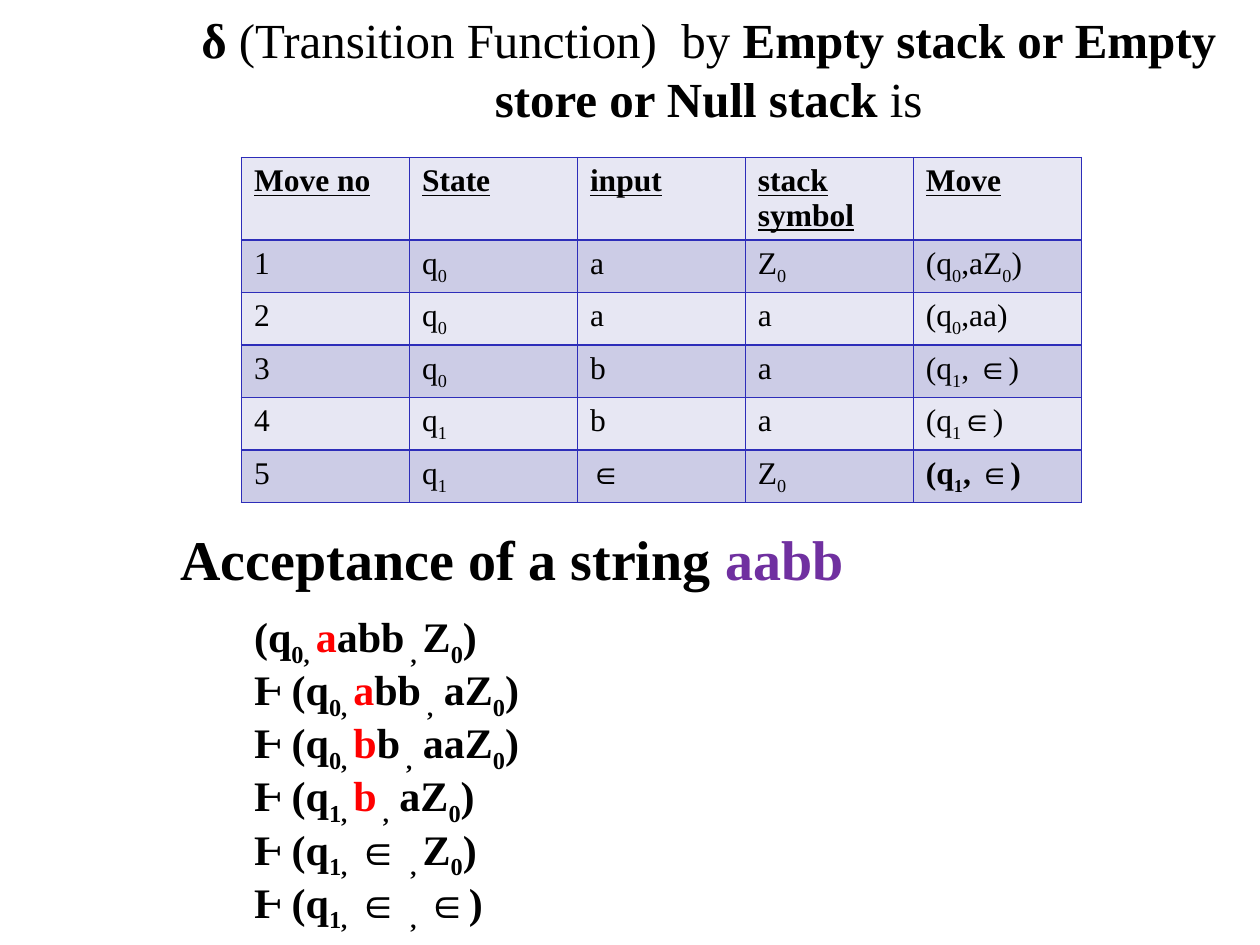
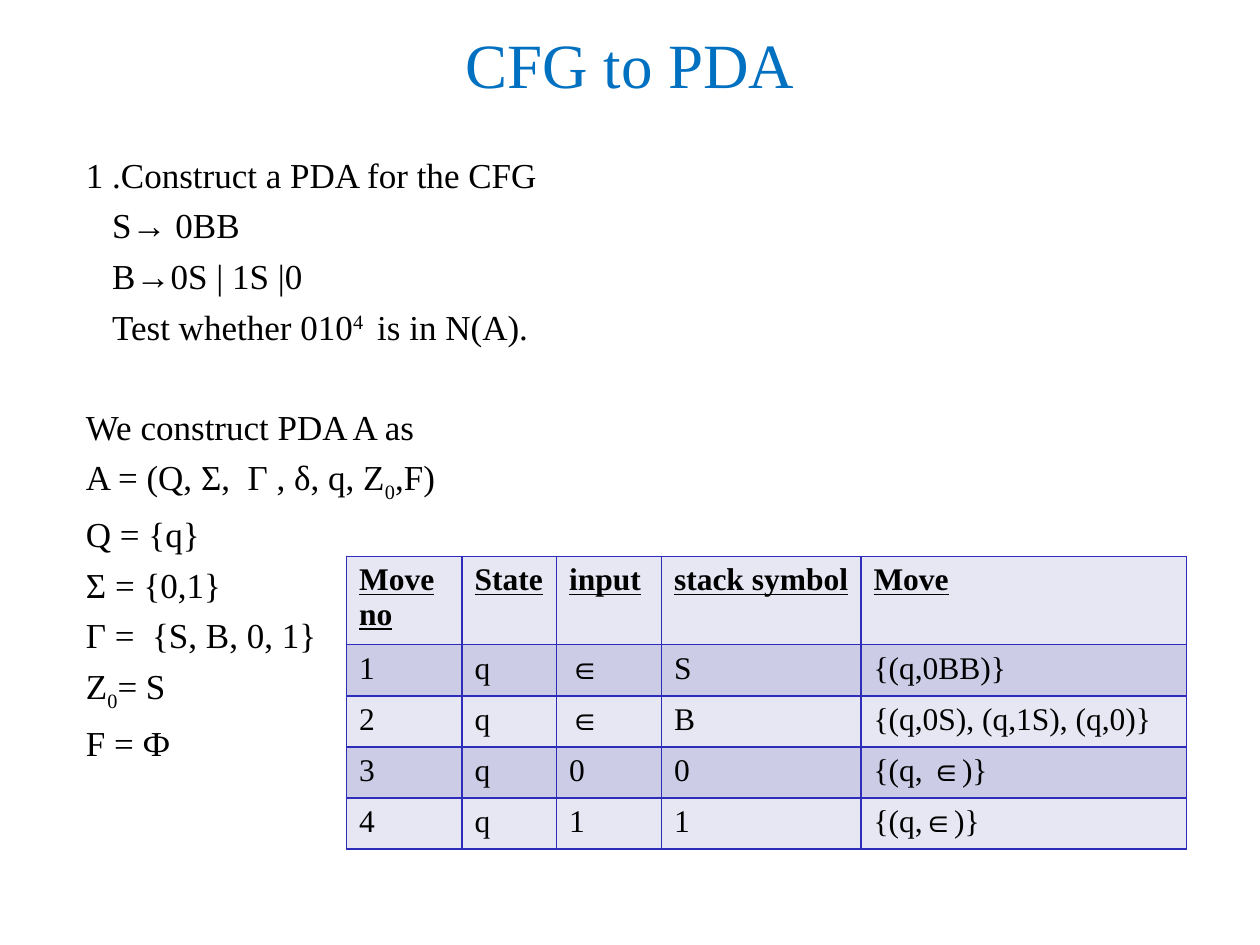
from dataclasses import dataclass

from lxml import etree
from pptx import Presentation
from pptx.dml.color import RGBColor
from pptx.enum import text as t
from pptx.oxml import ns
from pptx.util import Pt


@dataclass(frozen=True)
class Theme:
    font: str = "Times New Roman"
    ink: str = "000000"
    blue: str = "0070C0"
    red: str = "FF0000"
    purple: str = "7030A0"
    white: str = "FFFFFF"
    line: str = "2D2DB9"
    light: str = "E7E7F3"
    band: str = "CCCCE6"
    cell: int = 18
    body: int = 20
    long: int = 28
    list: int = 24
    head: int = 32
    title: int = 36


T = Theme()

# Inline marks, each one switching its format on and off
MARKS = {
    "*": {"bold": True},
    "#": {"color": T.red},
    "~": {"color": T.purple},
    "_": {"base": -25000},
    "^": {"base": 30000},
}

HEADS = ["Move no", "State", "input", "stack symbol", "Move"]

STACK_MOVES = [
    ["1", "q_0_", "a", "Z_0_", "(q_0_,aZ_0_)"],
    ["2", "q_0_", "a", "a", "(q_0_,aa)"],
    ["3", "q_0_", "b", "a", "(q_1_, ∈)"],
    ["4", "q_1_", "b", "a", "(q_1_∈)"],
    ["5", "q_1_", "∈", "Z_0_", "*(q_1_, ∈)*"],
]

STEPS = [
    "(q_0, _#a#abb_ , _Z_0_)",
    "Ⱶ (q_0, _#a#bb_ ,_ aZ_0_)",
    "Ⱶ (q_0, _#b#b_ ,_ aaZ_0_)",
    "Ⱶ (q_1, _#b#_ ,_ aZ_0_)",
    "Ⱶ (q_1,_ ∈ _, _Z_0_)",
    "Ⱶ (q_1,_ ∈ _,_ ∈)",
]

TASK = ["S→ 0BB", "B→0S | 1S |0", "Test whether 010^4 ^ is in N(A)."]

PARTS = [
    "A = (Q, Σ,  Г , δ, q, Z_0_,F)",
    "Q = {q}",
    "Σ = {0,1}",
    "Г =  {S, B, 0, 1}",
    "Z_0_= S",
    "F = Ф",
]

CFG_MOVES = [
    ["1", "q", "∈", "S", "{(q,0BB)}"],
    ["2", "q", "∈", "B", "{(q,0S), (q,1S), (q,0)}"],
    ["3", "q", "0", "0", "{(q, ∈)}"],
    ["4", "q", "1", "1", "{(q,∈)}"],
]


def put(obj, vals):
    for name, val in vals.items():
        setattr(obj, name, val)


def place(shape, box):
    put(shape, dict(zip(("left", "top", "width", "height"), map(Pt, box))))


# Text
def split(line):
    """Yield each stretch of text with the marks that hold for it."""
    live, word = set(), ""
    for char in line:
        if char in MARKS:
            if word:
                yield word, set(live)
            live ^= {char}
            word = ""
        else:
            word += char
    if word:
        yield word, live


def write(para, line, size, color=T.ink, **form):
    for word, live in split(line):
        look = {"color": color, **form}
        for mark in live:
            look.update(MARKS[mark])
        tint, base = look.pop("color"), look.pop("base", None)
        run = para.add_run()
        run.text = word
        put(run.font, {"name": T.font, "size": Pt(size), "bold": False, **look})
        run.font.color.rgb = RGBColor.from_string(tint)
        if base:
            run.font._element.set("baseline", str(base))


def fill(frame, lines, size, **form):
    for i, line in enumerate(lines):
        para = frame.add_paragraph() if i else frame.paragraphs[0]
        write(para, line, size, **form)


def title(slide, line, box, size, color=T.ink):
    shape = slide.shapes.title
    place(shape, box)
    put(shape.text_frame, {"word_wrap": True, "auto_size": t.MSO_AUTO_SIZE.NONE,
                           "vertical_anchor": t.MSO_ANCHOR.MIDDLE})
    fill(shape.text_frame, [line], size, color=color)
    shape.text_frame.paragraphs[0].alignment = t.PP_ALIGN.CENTER


def note(slide, lines, box, size, **form):
    frame = slide.shapes.add_textbox(*map(Pt, box)).text_frame
    frame.word_wrap = True
    fill(frame, lines, size, **form)
    return frame.paragraphs


# Tables
def edge(cell, color, width):
    props = cell._tc.get_or_add_tcPr()
    for side in "LRTB":
        line = etree.SubElement(props, ns.qn(f"a:ln{side}"), w=str(Pt(width)))
        paint = etree.SubElement(line, ns.qn("a:solidFill"))
        etree.SubElement(paint, ns.qn("a:srgbClr"), val=color)


def paint(cell, color, line, width):
    edge(cell, line, width)
    cell.fill.solid()
    cell.fill.fore_color.rgb = RGBColor.from_string(color)


def grid(slide, left, top, cols, rows):
    box = map(Pt, (left, top, sum(cols), sum(rows)))
    table = slide.shapes.add_table(len(rows), len(cols), *box).table
    put(table, {"first_row": False, "horz_banding": False})
    for col, width in zip(table.columns, cols):
        col.width = Pt(width)
    for row, height in zip(table.rows, rows):
        row.height = Pt(height)
    return table


def moves(slide, left, top, cols, data, step):
    table = grid(slide, left, top, cols, [47] + [step] * len(data))
    for r, row in enumerate([HEADS] + data):
        form = {} if r else {"bold": True, "underline": True}
        for c, line in enumerate(row):
            cell = table.cell(r, c)
            paint(cell, T.band if r % 2 else T.light, T.line, 1)
            fill(cell.text_frame, [line], T.cell, **form)


# Slides
def stack(slide):
    title(slide, "*δ* (Transition Function)  by "
                 "*Empty stack or Empty store or Null stack* is",
          (102, 12, 606, 54), T.long)
    moves(slide, 138, 90, [96] * 5, STACK_MOVES, 30)
    note(slide, ["Acceptance of a string ~aabb~"], (96, 296, 588, 46),
         T.head, bold=True)
    cell = grid(slide, 138, 348, [342], [180]).cell(0, 0)
    paint(cell, T.white, T.white, 0.75)
    fill(cell.text_frame, STEPS, T.list, bold=True)


def grammar(slide):
    title(slide, "CFG to PDA", (12, 12, 696, 48), T.title, T.blue)
    lines = ["1 .Construct a PDA for the CFG", *TASK,
             "We construct PDA A as", *PARTS]
    paras = note(slide, lines, (42, 84, 666, 414), T.body)
    for para in paras[1:]:
        para.space_before = Pt(5)
    # Indent the task and set the answer apart from it
    for para in paras[1:len(TASK) + 1]:
        para._p.get_or_add_pPr().set("marL", str(Pt(15)))
    paras[len(TASK) + 1].space_before = Pt(33)
    moves(slide, 198, 318, [66, 54, 60, 114, 186], CFG_MOVES, 29.2)


def main():
    deck = Presentation()
    put(deck, {"slide_width": Pt(720), "slide_height": Pt(540)})
    for build in (stack, grammar):
        build(deck.slides.add_slide(deck.slide_layouts[5]))
    deck.save("out.pptx")


if __name__ == "__main__":
    main()
